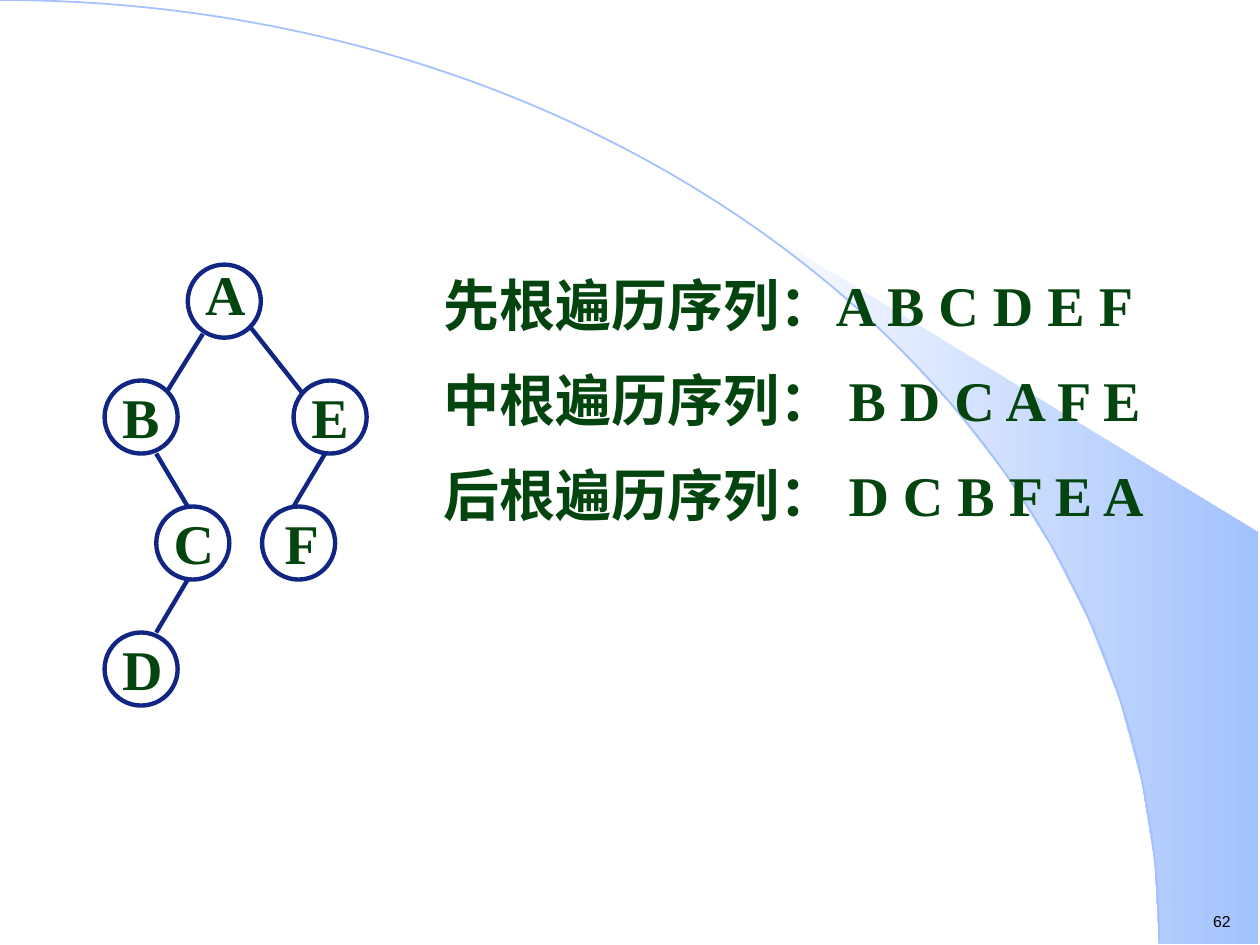
from math import cos, radians, sin

from lxml import etree
from pptx import Presentation
from pptx.dml.color import RGBColor
from pptx.enum.shapes import MSO_CONNECTOR, MSO_SHAPE
from pptx.enum.text import MSO_AUTO_SIZE, PP_ALIGN
from pptx.oxml.ns import qn
from pptx.util import Inches, Pt

NAVY, GREEN, PALE_BLUE = "102682", "04440F", "A2C1FE"
LETTERING = {"name": "Times New Roman", "size": Pt(32), "bold": True}
PAGE_LETTERING = {"name": "Arial", "size": Pt(9), "bold": False}


def rgb(hex_string):
    return RGBColor.from_string(hex_string)


def add_text(shapes, box, lines, lettering, color, wrap=True,
             line_spacing=None, align=PP_ALIGN.LEFT):
    frame = shapes.add_textbox(*map(Inches, box)).text_frame
    frame.word_wrap = wrap
    frame.auto_size = MSO_AUTO_SIZE.SHAPE_TO_FIT_TEXT
    frame.text = "\n".join(lines)
    for index, paragraph in enumerate(frame.paragraphs):
        paragraph.alignment = align
        paragraph.line_spacing = line_spacing
        if index:
            paragraph.space_before = Pt(15.8)
        for attribute, value in lettering.items():
            setattr(paragraph.font, attribute, value)
        paragraph.font.color.rgb = rgb(color)


prs = Presentation()
prs.slide_width, prs.slide_height = Inches(10), Inches(7.5)
slide = prs.slides.add_slide(prs.slide_layouts[6])

# Background wedge: its inner edge follows a quarter ellipse
RADIUS_X, RADIUS_Y = 9.2, 7.49
inner_edge = [(RADIUS_X * sin(radians(a)), RADIUS_Y * (1 - cos(radians(a))))
              for a in range(45, 91, 5)]
wedge_outline = inner_edge + [(9.99, 7.49), (9.99, 4.23)]

backdrop = slide.shapes.add_group_shape().shapes
builder = backdrop.build_freeform(Inches(5.89), Inches(1.73))
builder.add_line_segments([(Inches(x), Inches(y)) for x, y in wedge_outline])
wedge = builder.convert_to_shape()
wedge.shadow.inherit = False
wedge.line.fill.background()
wedge.fill.gradient()
wedge.fill.gradient_angle = 0
for stop, color, position in zip(wedge.fill.gradient_stops,
                                 ("FFFFFF", PALE_BLUE), (0, 1)):
    stop.color.rgb = rgb(color)
    stop.position = position

# Background curve: one straight segment turned into a Bézier segment
builder = backdrop.build_freeform(0, 0)
builder.add_line_segments([(Inches(RADIUS_X), Inches(RADIUS_Y))], close=False)
curve = builder.convert_to_shape()
curve.shadow.inherit = False
curve.fill.background()
curve.line.color.rgb = rgb(PALE_BLUE)
curve.line.width = Pt(1)
segment = next(curve._element.iter(qn("a:lnTo")))
segment.tag = qn("a:cubicBezTo")
for index, (x, y) in enumerate(((5.08, 0), (RADIUS_X, 3.35))):
    control = etree.Element(qn("a:pt"), x=str(Inches(x)), y=str(Inches(y)))
    segment.insert(index, control)

# Page number
add_text(slide.shapes, (9.53, 7.19, 0.35, 0.25), ["62"], PAGE_LETTERING,
         "000000", wrap=False)

# Tree nodes: letter, left, top, label offset, line spacing, alignment
DIAMETER = 0.58
tree = slide.shapes.add_group_shape().shapes
nodes = [
    ("A", 1.49, 2.1, 0.04, 1.0, PP_ALIGN.LEFT),
    ("B", 0.83, 3.02, 0.04, 1.1, PP_ALIGN.LEFT),
    ("D", 0.83, 5.02, 0.04, 1.1, PP_ALIGN.LEFT),
    ("F", 2.08, 4.02, 0.08, 1.1, PP_ALIGN.LEFT),
    ("C", 1.24, 4.02, 0.04, 1.1, PP_ALIGN.LEFT),
    ("E", 2.33, 3.02, 0, 1.1, PP_ALIGN.CENTER),
]
for letter, left, top, offset, spacing, align in nodes:
    node = tree.add_shape(
        MSO_SHAPE.OVAL, *map(Inches, (left, top, DIAMETER, DIAMETER)))
    node.shadow.inherit = False
    node.fill.background()
    node.line.color.rgb = rgb(NAVY)
    node.line.width = Pt(2.5)
    add_text(tree, (left + offset, top - 0.09, DIAMETER, 0.63 * spacing),
             [letter], LETTERING, GREEN, line_spacing=spacing, align=align)

# Tree branches
branches = [
    (1.61, 2.65, 1.33, 3.1),   # A-B
    (2.58, 3.6, 2.33, 4.02),   # E-F
    (1.99, 2.6, 2.4, 3.12),    # A-E
    (1.24, 3.6, 1.49, 4.02),   # B-C
    (1.49, 4.6, 1.24, 5.02),   # C-D
]
for ends in branches:
    branch = tree.add_connector(MSO_CONNECTOR.STRAIGHT, *map(Inches, ends))
    branch.line.color.rgb = rgb(NAVY)
    branch.line.width = Pt(2.5)
    etree.SubElement(branch._element.spPr, qn("a:effectLst"))

# Traversal sequences
sequences = [
    "先根遍历序列：A B C D E F",
    "中根遍历序列： B D C A F E",
    "后根遍历序列： D C B F E A",
]
add_text(slide.shapes, (3.42, 2.1, 6.17, 2.23), sequences, LETTERING, GREEN)

prs.save("out.pptx")
